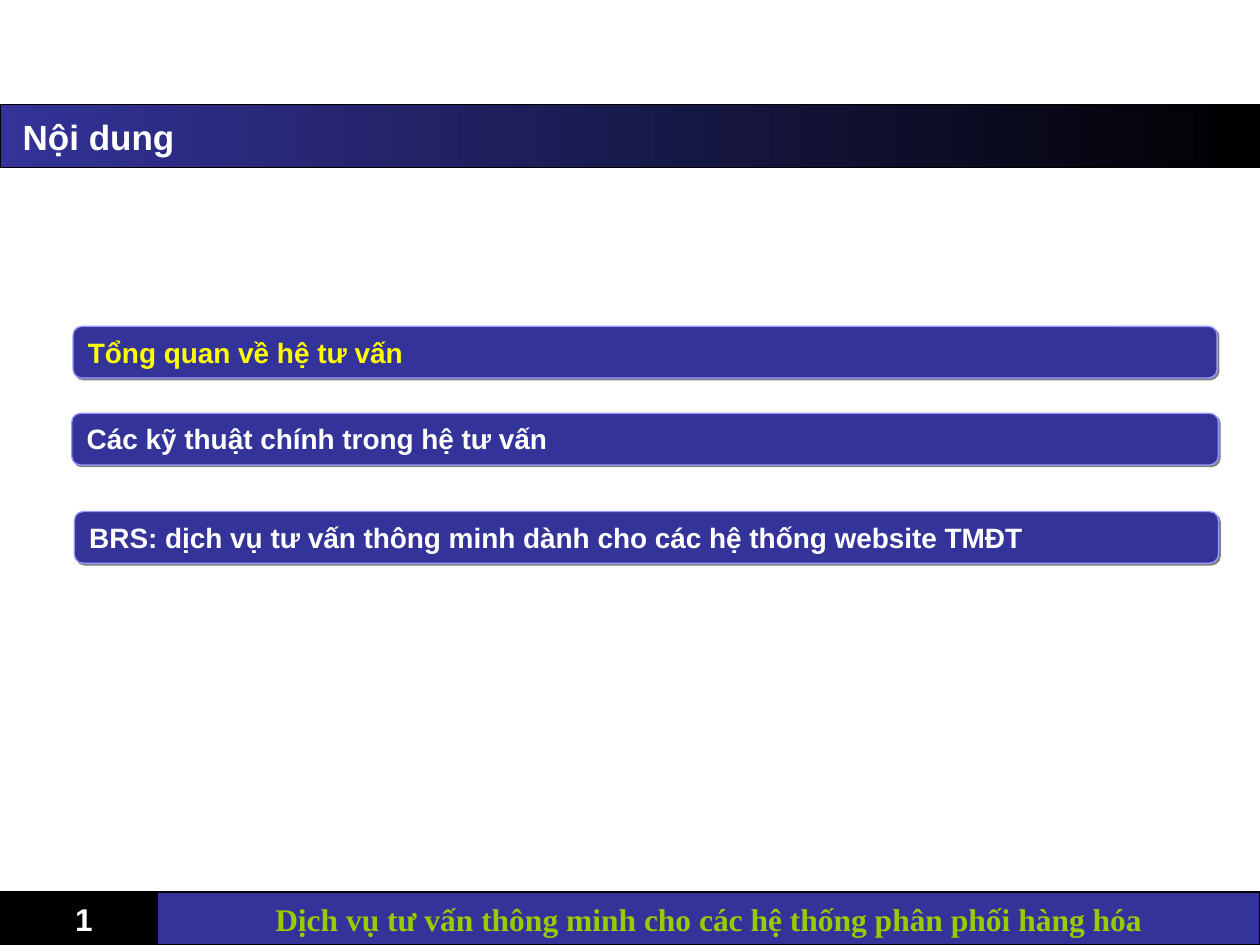
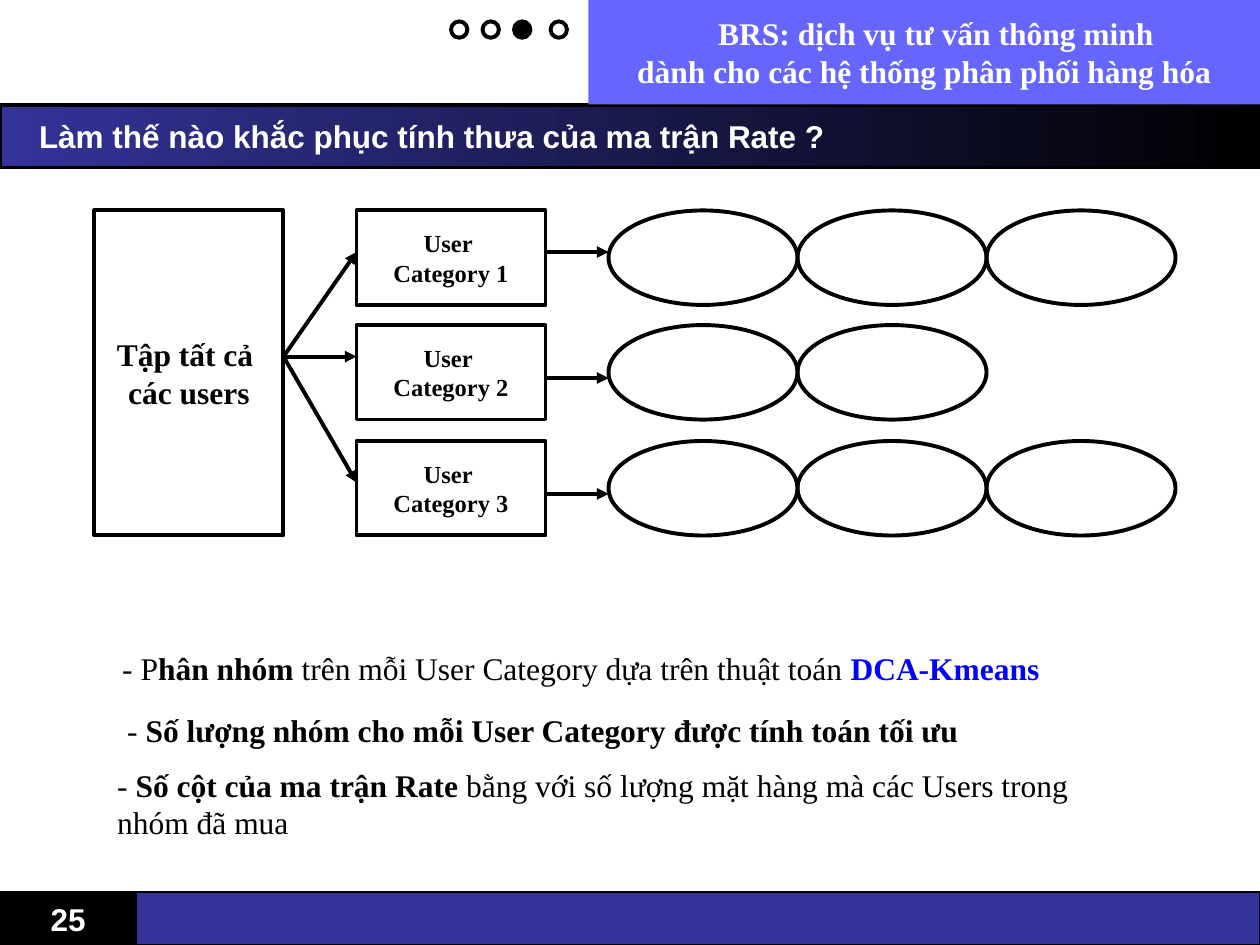
from lxml import etree
from pptx import Presentation
from pptx.dml.color import RGBColor
from pptx.enum.shapes import MSO_CONNECTOR, MSO_SHAPE as Shape
from pptx.enum.text import MSO_ANCHOR as Anchor, MSO_AUTO_SIZE as AutoSize, PP_ALIGN as Align
from pptx.oxml.ns import qn
from pptx.util import Inches, Pt

NAVY = RGBColor(0x33, 0x33, 0x99)
VIOLET = RGBColor(0x66, 0x66, 0xFF)
LAVENDER = RGBColor(0x99, 0x99, 0xFF)
BLUE = RGBColor(0x00, 0x00, 0xFF)
BLACK = RGBColor(0x00, 0x00, 0x00)
WHITE = RGBColor(0xFF, 0xFF, 0xFF)
YELLOW = RGBColor(0xFF, 0xFF, 0x00)
LIME = RGBColor(0x99, 0xCC, 0x00)
SANS, SERIF = "Arial", "Times New Roman"
TITLE_ONLY, TITLE_AND_BODY = 5, 1
THIN, THICK = 0.75, 2.25
FOOTER_TOP, FOOTER_HEIGHT = 7.08, 0.42


class Deck:
    def __init__(self):
        self.presentation = Presentation()
        self.presentation.slide_width = Inches(10)
        self.presentation.slide_height = Inches(7.5)
        self.slide = None

    def new_slide(self, layout):
        layouts = self.presentation.slide_layouts
        self.slide = self.presentation.slides.add_slide(layouts[layout])

    def place(self, shape, left, top, width, height):
        shape.left, shape.top = Inches(left), Inches(top)
        shape.width, shape.height = Inches(width), Inches(height)

    def outline(self, shape, color, weight):
        if color is None:
            shape.line.fill.background()
        else:
            shape.line.color.rgb = color
            shape.line.width = Pt(weight)

    def frame(self, shape, anchor):
        """Prepare the text frame of a shape and return it."""
        frame = shape.text_frame
        frame.word_wrap = True
        frame.auto_size = AutoSize.NONE
        frame.vertical_anchor = anchor
        return frame

    def run(self, paragraph, text, size, font, color, bold=True):
        run = paragraph.add_run()
        run.text = text
        run.font.size, run.font.name, run.font.bold = Pt(size), font, bold
        run.font.color.rgb = color

    def title(self, text, size, indent, border):
        bar = self.slide.shapes.title
        self.place(bar, 0, 0.83, 10, 0.5)
        bar.fill.gradient()
        bar.fill.gradient_angle = 0
        for stop, color in zip(bar.fill.gradient_stops, (NAVY, BLACK)):
            stop.color.rgb = color
        self.outline(bar, BLACK, border)
        frame = self.frame(bar, Anchor.MIDDLE)
        frame.margin_left = Inches(indent)
        paragraph = frame.paragraphs[0]
        paragraph.alignment = Align.LEFT
        self.run(paragraph, text, size, SANS, WHITE)

    def shape(self, kind, left, top, width, height, fill=None, line=BLACK, weight=THICK):
        shape = self.slide.shapes.add_shape(
            kind, Inches(left), Inches(top), Inches(width), Inches(height))
        shape.shadow.inherit = False
        if fill is None:
            shape.fill.background()
        else:
            shape.fill.solid()
            shape.fill.fore_color.rgb = fill
        self.outline(shape, line, weight)
        return shape

    def label(self, shape, lines, size, font, color, align=Align.CENTER, anchor=Anchor.MIDDLE):
        frame = self.frame(shape, anchor)
        for index, line in enumerate(lines):
            paragraph = frame.add_paragraph() if index else frame.paragraphs[0]
            paragraph.alignment = align
            self.run(paragraph, line, size, font, color)
        return frame

    def topic(self, left, top, width, text, color):
        bar = self.shape(Shape.ROUNDED_RECTANGLE, left, top, width, 0.41, NAVY, LAVENDER, THIN)
        effects = bar.element.spPr.find(qn("a:effectLst"))
        shadow = etree.SubElement(effects, qn("a:outerShdw"), dist=str(Pt(1.4)),
                                  dir="2700000", algn="ctr", rotWithShape="0")
        etree.SubElement(shadow, qn("a:srgbClr"), val="808080")
        self.label(bar, [text], 16, SANS, color, Align.LEFT, Anchor.TOP)

    def footer(self, number, number_width, band_left, caption=None):
        box = self.shape(Shape.RECTANGLE, 0, FOOTER_TOP, number_width, FOOTER_HEIGHT,
                         BLACK, weight=THIN)
        self.label(box, [number], 18, SANS, WHITE)
        band = self.shape(Shape.RECTANGLE, band_left, FOOTER_TOP, 10 - band_left,
                          FOOTER_HEIGHT, NAVY, weight=THIN)
        if caption:
            self.label(band, [caption], 18, SERIF, LIME)

    def section_header(self, lines):
        header = self.shape(Shape.RECTANGLE, 4.67, 0, 5.33, 0.83, VIOLET, None)
        frame = self.label(header, lines, 18, SERIF, WHITE)
        self.indent(frame.paragraphs[0], 0.25)

    def progress(self, lefts, current):
        for index, left in enumerate(lefts):
            self.shape(Shape.OVAL, left, 0.17, 0.13, 0.13, BLACK if index == current else None)

    def indent(self, paragraph, left):
        properties = paragraph._p.get_or_add_pPr()
        properties.set("marL", str(Inches(left)))
        properties.set("indent", "0")
        return properties

    def body(self, left, top, width, height, points):
        """Fill the body with points of (indent, space before, runs)."""
        body = self.slide.placeholders[1]
        self.place(body, left, top, width, height)
        frame = self.frame(body, Anchor.TOP)
        for index, (indent, space, runs) in enumerate(points):
            paragraph = frame.add_paragraph() if index else frame.paragraphs[0]
            etree.SubElement(self.indent(paragraph, indent), qn("a:buNone"))
            paragraph.space_before = Pt(space)
            for text, color, bold in runs:
                self.run(paragraph, text, 18, SERIF, color, bold)

    def arrow(self, x1, y1, x2, y2):
        arrow = self.slide.shapes.add_connector(
            MSO_CONNECTOR.STRAIGHT, Inches(x1), Inches(y1), Inches(x2), Inches(y2))
        self.outline(arrow, BLACK, THICK)
        etree.SubElement(arrow.line._get_or_add_ln(), qn("a:tailEnd"), type="triangle")
        etree.SubElement(arrow.element.spPr, qn("a:effectLst"))


def contents_slide(deck):
    deck.new_slide(TITLE_ONLY)
    deck.title("Nội dung", 20, 0.18, THIN)
    deck.topic(0.58, 2.59, 9.08, "Tổng quan về hệ tư vấn", YELLOW)
    deck.topic(0.57, 3.28, 9.1, "Các kỹ thuật chính trong hệ tư vấn", WHITE)
    deck.topic(0.59, 4.06, 9.08,
               "BRS: dịch vụ tư vấn thông minh dành cho các hệ thống website TMĐT", WHITE)
    deck.footer("1", 1.33, 1.25,
                "Dịch vụ tư vấn thông minh cho các hệ thống phân phối hàng hóa")


def sparsity_slide(deck):
    deck.new_slide(TITLE_AND_BODY)
    deck.footer("25", 1.08, 1.08)
    deck.title("Làm thế nào khắc phục tính thưa của ma trận Rate ?", 18, 0.31, THICK)
    deck.section_header(["BRS: dịch vụ tư vấn thông minh ",
                         "dành cho các hệ thống phân phối hàng hóa"])
    deck.progress((3.58, 3.83, 4.08, 4.37), current=2)
    deck.body(0.83, 5.1, 8.33, 1.6, [
        (0.04, 0, [("- P", BLACK, False), ("hân nhóm", BLACK, True),
                   (" trên mỗi User Category dựa trên thuật toán ", BLACK, False),
                   ("DCA-Kmeans", BLUE, True)]),
        (0.08, 14, [("- ", BLACK, False),
                    ("Số lượng nhóm cho mỗi User Category được tính toán tối ưu", BLACK, True)]),
        (0, 9.5, [("- ", BLACK, False), ("Số cột của ma trận Rate", BLACK, True),
                  (" bằng với số lượng mặt hàng mà các Users trong nhóm đã mua",
                   BLACK, False)]),
    ])

    all_users = deck.shape(Shape.RECTANGLE, 0.75, 1.67, 1.5, 2.58)
    deck.label(all_users, ["Tập tất cả ", "các users"], 18, SERIF, BLACK)

    # top of the row, number of groups, height of the arrow in, height of the arrow out
    rows = [(1.67, 3, 2, 2), (2.58, 2, 2.83, 3), (3.5, 3, 3.83, 3.92)]
    for number, (top, group_count, arrow_in, arrow_out) in enumerate(rows, 1):
        category = deck.shape(Shape.RECTANGLE, 2.83, top, 1.5, 0.75)
        deck.label(category, ["User ", f"Category {number}"], 14, SERIF, BLACK)
        for group in range(group_count):
            deck.shape(Shape.OVAL, 4.83 + 1.5 * group, top, 1.5, 0.75)
        deck.arrow(2.25, 2.83, 2.83, arrow_in)
        deck.arrow(4.33, arrow_out, 4.83, arrow_out)


def main():
    deck = Deck()
    contents_slide(deck)
    sparsity_slide(deck)
    deck.presentation.save("out.pptx")


if __name__ == "__main__":
    main()
